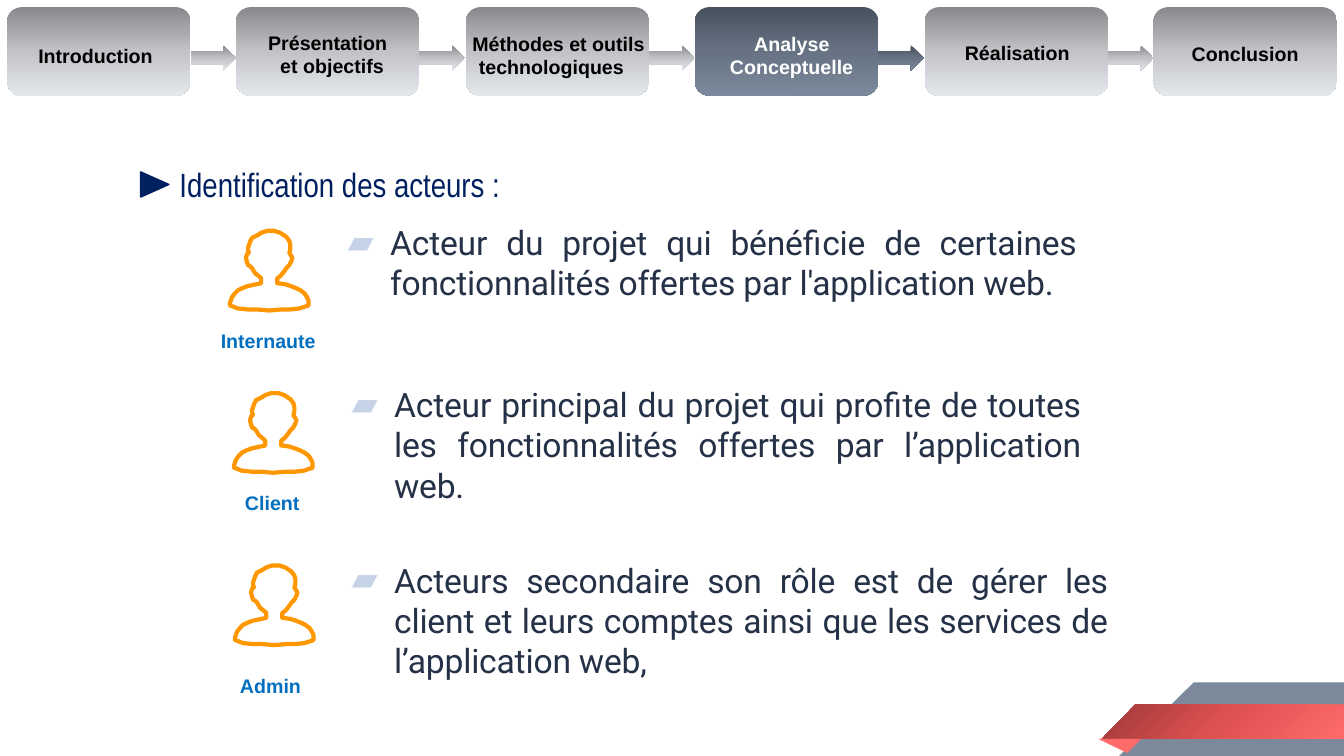
from pptx import Presentation
from pptx.dml.color import RGBColor
from pptx.enum.shapes import MSO_SHAPE as Kind
from pptx.enum.text import MSO_ANCHOR as Anchor, MSO_AUTO_SIZE as Fit, PP_ALIGN as Align
from pptx.oxml import parse_xml
from pptx.oxml.ns import nsdecls, qn
from pptx.util import Pt

PX = 9144  # 100 px to the inch

NAVY = RGBColor(0x00, 0x20, 0x60)
BLUE = RGBColor(0x00, 0x6F, 0xC0)
INK = RGBColor(0x25, 0x31, 0x47)
ORANGE = RGBColor(0xFF, 0x97, 0x00)
SLATE = RGBColor(0x7C, 0x89, 0x9A)
CORAL = RGBColor(0xFF, 0x6B, 0x6B)
BLACK = RGBColor(0x00, 0x00, 0x00)
WHITE = RGBColor(0xFF, 0xFF, 0xFF)
PALE = RGBColor(0xC6, 0xD2, 0xE6)

LIGHT = [RGBColor(0x87, 0x89, 0x8C), RGBColor(0xC1, 0xC3, 0xC7), RGBColor(0xE4, 0xE8, 0xED)]
DARK = [RGBColor(0x48, 0x51, 0x5D), RGBColor(0x67, 0x73, 0x84), RGBColor(0x7A, 0x89, 0x9C)]
REDS = [RGBColor(0x9E, 0x39, 0x39), RGBColor(0xE0, 0x51, 0x51), CORAL]

LINEAR = '<a:lin ang="5400000" scaled="0"/>'
RADIAL = '<a:path path="circle"><a:fillToRect r="100000" b="100000"/></a:path>'

# Navigation: text, left, top, width, left margin, first indent, alignment
STEPS = [
    ("Introduction", 38, 44, 130, 0, 0, Align.LEFT),
    ("Présentation et objectifs", 265, 32, 124, 13, -12, Align.LEFT),
    ("Méthodes et outils technologiques", 451, 33, 191, 1, 14, Align.CENTER),
    ("Analyse Conceptuelle", 723, 33, 128, 1, 24, Align.LEFT),
    ("Réalisation", 956, 41, 120, 1, 0, Align.LEFT),
    ("Conclusion", 1181, 42, 120, 1, 0, Align.LEFT),
]
ACTIVE = 3

# Actors: name, its left and top, figure's left and top, role's left, top, width, height, role
ACTORS = [
    ("Internaute", 219, 326, 228, 229, 344, 218, 724, 82,
     "Acteur du projet qui bénéficie de certaines fonctionnalités "
     "offertes par l'application web."),
    ("Client", 243, 487, 232, 390, 348, 379, 724, 123,
     "Acteur principal du projet qui profite de toutes les fonctionnalités "
     "offertes par l’application web."),
    ("Admin", 238, 669, 233, 561, 348, 553, 751, 123,
     "Acteurs secondaire son rôle est de gérer les client et leurs comptes "
     "ainsi que les services de l’application web,"),
]

FIGURE = [
    (48, 52), (47, 52), (47, 47), (50, 45), (54, 40), (56, 37), (58, 35), (59, 34),
    (61, 30), (62, 27), (61, 25), (59, 22), (60, 18), (60, 14), (59, 10), (56, 6),
    (53, 4), (50, 2), (44, 0), (37, 0), (34, 1), (31, 2), (28, 4), (26, 5), (22, 7),
    (20, 11), (18, 17), (18, 19), (19, 22), (17, 23), (16, 27), (17, 31), (18, 34),
    (20, 35), (22, 37), (25, 42), (30, 46), (31, 47), (31, 52), (26, 53), (17, 55),
    (12, 57), (8, 59), (5, 62), (2, 66), (0, 72), (0, 74), (3, 75), (8, 77), (18, 78),
    (27, 78), (39, 79), (51, 78), (60, 78), (69, 77), (75, 75), (78, 74), (78, 69),
    (76, 65), (74, 62), (70, 59), (66, 57), (61, 55), (55, 53),
]


def blend(shape, tones, way=LINEAR):
    """Fill a shape with a three-tone gradient."""
    stops = "".join(f'<a:gs pos="{i * 50000}"><a:srgbClr val="{tone}"/></a:gs>'
                    for i, tone in enumerate(tones))
    grad = parse_xml(f'<a:gradFill {nsdecls("a")} rotWithShape="1">'
                     f'<a:gsLst>{stops}</a:gsLst>{way}</a:gradFill>')
    shape.fill.background()
    props = shape.element.spPr
    props.replace(props.find(qn("a:noFill")), grad)


def paint(shape, color):
    shape.fill.solid()
    shape.fill.fore_color.rgb = color


def preset(slide, kind, x, y, w, h):
    shape = slide.shapes.add_shape(kind, x * PX, y * PX, w * PX, h * PX)
    shape.shadow.inherit = False
    shape.line.fill.background()
    return shape


def outline(slide, points):
    pen = slide.shapes.build_freeform(*points[0], scale=PX)
    pen.add_line_segments(points[1:], close=True)
    shape = pen.convert_to_shape()
    shape.shadow.inherit = False
    shape.line.fill.background()
    return shape


def style(para, font, size, color, bold=False):
    para.font.name = font
    para.font.size = Pt(size)
    para.font.color.rgb = color
    para.font.bold = bold


def label(slide, text, x, y, w, h, left=0, first=0, align=Align.LEFT):
    """Place a wrapped text without insets and return its paragraph."""
    frame = slide.shapes.add_textbox(x * PX, y * PX, w * PX, h * PX).text_frame
    frame.word_wrap = True
    frame.margin_left = frame.margin_right = frame.margin_top = frame.margin_bottom = 0
    para = frame.paragraphs[0]
    para.text = text
    para.alignment = align
    props = para._p.get_or_add_pPr()
    props.set("marL", str(left * PX))
    props.set("indent", str(first * PX))
    return para


def role(slide, text, x, y, w, h):
    para = label(slide, text, x, y + 2, w, h, 43, -42, Align.JUSTIFY)
    props = para._p.get_or_add_pPr()
    for tag in (f'<a:buClr {nsdecls("a")}><a:srgbClr val="{PALE}"/></a:buClr>',
                f'<a:buFont {nsdecls("a")} typeface="Times New Roman"/>',
                f'<a:buChar {nsdecls("a")} char="▰"/>'):
        props.append(parse_xml(tag))
    style(para, "Roboto", 24, INK)
    para.runs[0]._r.get_or_add_rPr().set("spc", "-15")


def actor(slide, name, nx, ny, fx, fy, rx, ry, rw, rh, text):
    figure = outline(slide, [(fx + x, fy + y) for x, y in FIGURE])
    figure.fill.background()
    figure.line.color.rgb = ORANGE
    figure.line.width = Pt(3)
    style(label(slide, name, nx, ny, 110, 24), "Arial", 14, BLUE, True)
    role(slide, text, rx, ry, rw, rh)


def step(slide, i, text, x, y, w, left, first, align):
    tones = DARK if i == ACTIVE else LIGHT
    start = round(7 + 227.4 * i)
    blend(preset(slide, Kind.ROUNDED_RECTANGLE, start, 7, 182, 88), tones)
    if i < len(STEPS) - 1:
        blend(preset(slide, Kind.RIGHT_ARROW, start + 182, 45, 45, 25), tones)
    para = label(slide, text, x, y, w, 46, left, first, align)
    para.line_spacing = Pt(16.2)
    style(para, "Arial", 14, WHITE if i == ACTIVE else BLACK, True)


def heading(slide):
    title = slide.shapes.title
    title.left, title.top, title.width, title.height = (n * PX for n in (168, 158, 641, 50))
    frame = title.text_frame
    frame.text = "Identification des acteurs :"
    frame.auto_size = Fit.NONE
    frame.vertical_anchor = Anchor.TOP
    para = frame.paragraphs[0]
    para.alignment = Align.LEFT
    para.line_spacing = 1.0
    style(para, "Arial Narrow", 24, NAVY)
    mark = preset(slide, Kind.ISOSCELES_TRIANGLE, 141, 169, 25, 28)
    mark.rotation = 90
    paint(mark, NAVY)
    mark.line.color.rgb = NAVY
    mark.line.width = Pt(1)


def ribbon(slide):
    paint(outline(slide, [(1333, 677), (1184, 677), (1110, 750), (1333, 750)]), SLATE)
    blend(outline(slide, [(1333, 699), (1126, 699), (1093, 733), (1333, 733)]), REDS, RADIAL)
    paint(outline(slide, [(1132, 733), (1089, 733), (1118, 747)]), CORAL)


def main():
    deck = Presentation()
    deck.slide_width, deck.slide_height = 1333 * PX, 750 * PX
    slide = deck.slides.add_slide(deck.slide_layouts[5])

    heading(slide)
    ribbon(slide)
    for item in ACTORS:
        actor(slide, *item)
    # Navigation bar
    for i, item in enumerate(STEPS):
        step(slide, i, *item)

    deck.save("out.pptx")


if __name__ == "__main__":
    main()
